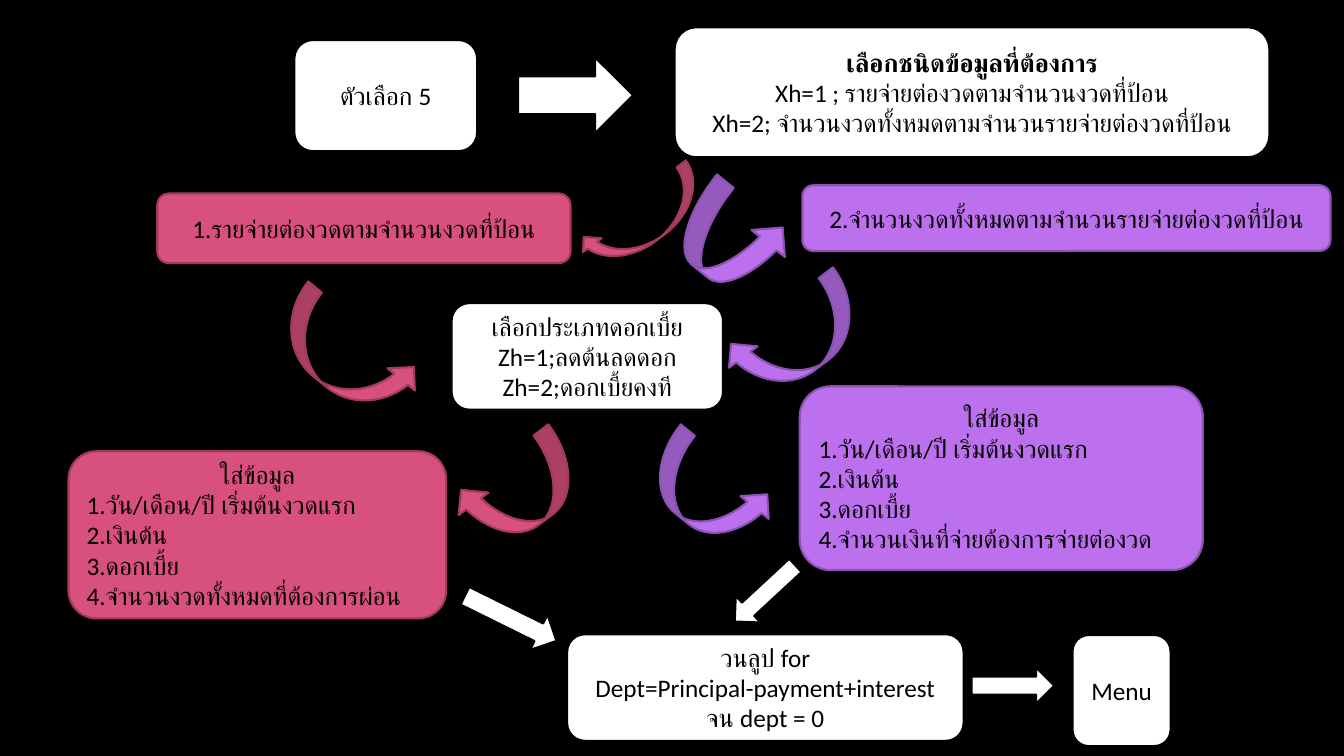
from pptx import Presentation
from pptx.dml.color import RGBColor
from pptx.enum.shapes import MSO_SHAPE
from pptx.enum.text import MSO_ANCHOR, PP_ALIGN
from pptx.util import Inches, Pt

BLACK = RGBColor(0x00, 0x00, 0x00)
WHITE = RGBColor(0xFF, 0xFF, 0xFF)
PINK = RGBColor(0xD8, 0x50, 0x7E)
DARK_PINK = RGBColor(0xA0, 0x3B, 0x5D)
PURPLE = RGBColor(0xBC, 0x70, 0xEE)
DARK_PURPLE = RGBColor(0x8B, 0x53, 0xB0)
OUTLINE = {WHITE: BLACK, PINK: DARK_PINK, PURPLE: DARK_PURPLE}

deck = Presentation()
deck.slide_width, deck.slide_height = Inches(13.33), Inches(7.5)
page = deck.slides.add_slide(deck.slide_layouts[6])
page.background.fill.solid()
page.background.fill.fore_color.rgb = BLACK


def add_block(kind, place, color):
    """Place is left, top, width, height in percent of the slide's size."""
    column, row = deck.slide_width / 100, deck.slide_height / 100
    left, top, width, height = place
    block = page.shapes.add_shape(kind, int(left * column), int(top * row),
                                  int(width * column), int(height * row))
    block.shadow.inherit = False
    block.fill.solid()
    block.fill.fore_color.rgb = color
    block.line.color.rgb = OUTLINE[color]
    block.line.width = Pt(1.5)
    return block


# Step boxes: place, colour, lines of text
LOAN_FIELDS = ["ใส่ข้อมูล", "1.วัน/เดือน/ปี เริ่มต้นงวดแรก", "2.เงินต้น", "3.ดอกเบี้ย"]
steps = [
    ((21.9, 5.3, 13.6, 14.7), WHITE, ["ตัวเลือก 5"]),
    ((33.6, 40.1, 20.2, 14.1), WHITE,
     ["เลือกประเภทดอกเบี้ย", "Zh=1;ลดต้นลดดอก", "Zh=2;ดอกเบี้ยคงที"]),
    ((50.2, 3.6, 44.25, 17.2), WHITE,
     ["เลือกชนิดข้อมูลที่ต้องการ",
      "Xh=1 ; รายจ่ายต่องวดตามจำนวนงวดที่ป้อน",
      "Xh=2; จำนวนงวดทั้งหมดตามจำนวนรายจ่ายต่องวดที่ป้อน"]),
    ((5.1, 59.7, 28.1, 22.1), PINK,
     LOAN_FIELDS + ["4.จำนวนงวดทั้งหมดที่ต้องการผ่อน"]),
    ((59.5, 51.1, 30, 24.3), PURPLE,
     LOAN_FIELDS + ["4.จำนวนเงินที่จ่ายต้องการจ่ายต่องวด"]),
    ((11.7, 25.6, 30.75, 9.2), PINK, ["1.รายจ่ายต่องวดตามจำนวนงวดที่ป้อน"]),
    ((59.7, 24.5, 39.3, 8.7), PURPLE,
     ["2.จำนวนงวดทั้งหมดตามจำนวนรายจ่ายต่องวดที่ป้อน"]),
    ((42.2, 83.9, 29.5, 14.1), WHITE,
     ["วนลูป for", "Dept=Principal-payment+interest", "จน dept = 0"]),
    ((79.8, 84, 7.3, 14.7), WHITE, ["Menu"]),
]
for place, color, lines in steps:
    box = add_block(MSO_SHAPE.ROUNDED_RECTANGLE, place, color)
    frame = box.text_frame
    frame.word_wrap = True
    frame.vertical_anchor = MSO_ANCHOR.MIDDLE
    frame.text = "\n".join(lines)
    is_form = lines[0] == LOAN_FIELDS[0]
    for number, para in enumerate(frame.paragraphs):
        para.alignment = PP_ALIGN.LEFT if is_form and number else PP_ALIGN.CENTER
        para.font.name = "Calibri"
        para.font.size = Pt(18)
        para.font.color.rgb = BLACK
        para.font.bold = number == 0 and lines[0].startswith("เลือกชนิด")

# Straight arrows: place, rotation
straight_arrows = [
    ((38.55, 7.6, 8.55, 10), 0),
    ((34.2, 79.2, 7.6, 5.2), 26.3),
    ((53.85, 76.1, 6.15, 4.8), 137.2),
    ((72.3, 88.3, 6.15, 4.8), 0),
]
for place, rotation in straight_arrows:
    arrow = add_block(MSO_SHAPE.RIGHT_ARROW, place, WHITE)
    arrow.rotation = rotation

# Curved arrows: place, colour, whether the arrow points to the left
curved_arrows = [
    ((46.2, 20, 3.45, 18.4), PINK, True),
    ((51.2, 24.9, 6.4, 14), PURPLE, False),
    ((35.9, 56.7, 5.55, 16.9), PINK, True),
    ((50, 56.7, 5.4, 17.1), PURPLE, False),
    ((23.1, 37.1, 5.25, 20.3), PINK, False),
    ((56.6, 35.3, 5.3, 19.2), PURPLE, True),
]
for place, color, points_left in curved_arrows:
    arrow = add_block(MSO_SHAPE.CURVED_RIGHT_ARROW, place, color)
    arrow.rotation = 53.1 if points_left else 309
    if points_left:
        arrow.element.spPr.xfrm.set("flipH", "1")

deck.save("out.pptx")
